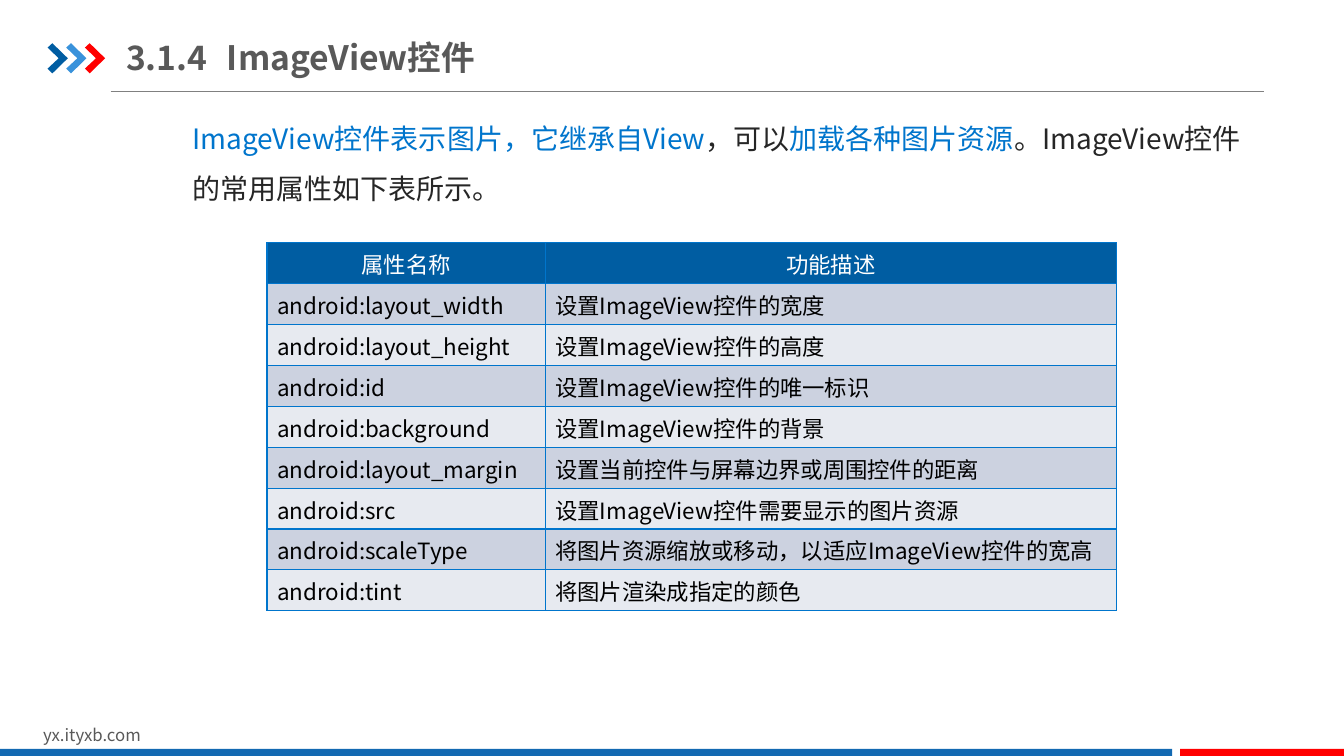
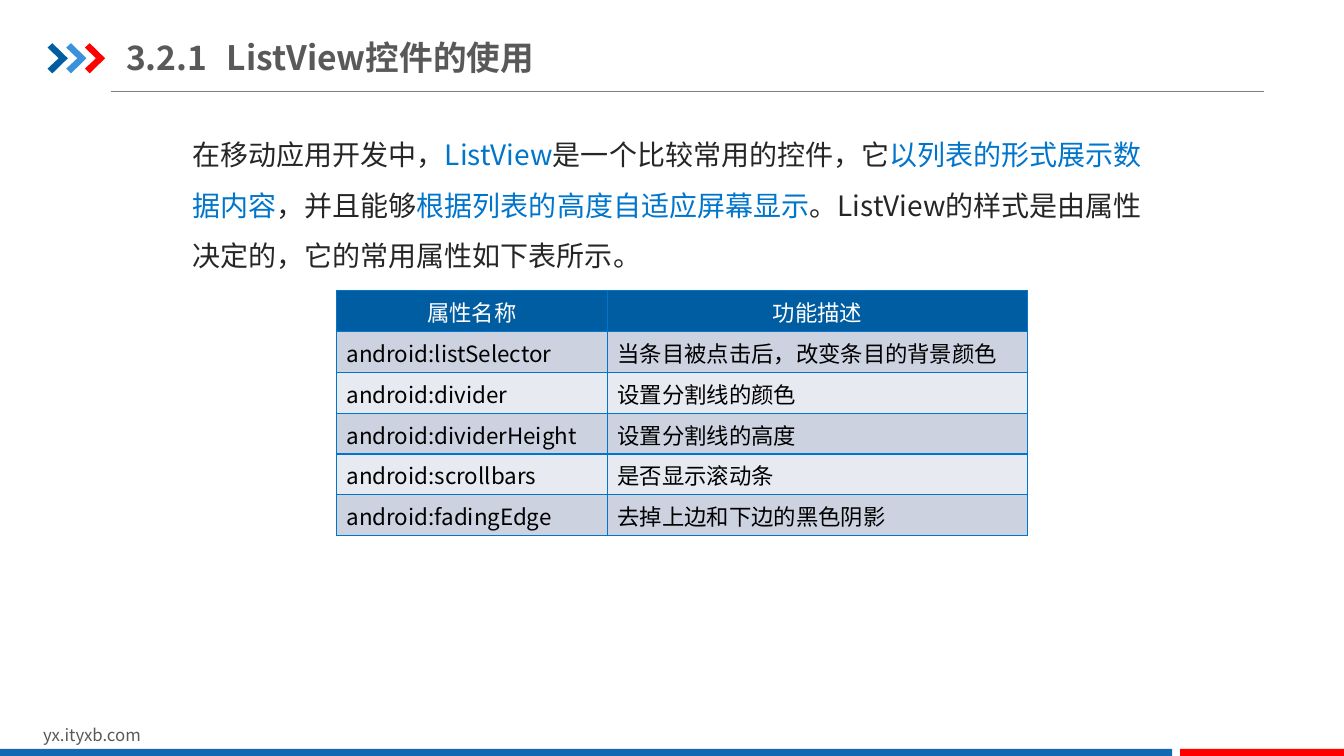
from dataclasses import dataclass

from lxml.etree import SubElement
from pptx import Presentation
from pptx.dml.color import RGBColor
from pptx.enum.shapes import MSO_CONNECTOR as Connector, MSO_SHAPE as Shape
from pptx.enum.text import MSO_ANCHOR as Anchor, PP_ALIGN as Align
from pptx.oxml.ns import qn
from pptx.util import Cm, Pt


@dataclass(frozen=True)
class Theme:
    font: str = "Noto Sans CJK SC"
    navy: str = "005DA2"
    sky: str = "3992DB"
    red: str = "FF0000"
    band: str = "1369B2"
    accent: str = "0075CC"
    grey: str = "595959"
    rule: str = "808080"
    ink: str = "262626"
    black: str = "000000"
    white: str = "FFFFFF"
    stripes: tuple = ("CCD2E0", "E7EAF0")
    title_size: int = 24
    body_size: int = 20
    table_size: int = 16
    footer_size: int = 12


T = Theme()
WIDTH, HEIGHT = 33.87, 19.05
ROW_HEIGHT = 1.03
HEADER = ("属性名称", "功能描述")
CHEVRON = ((0, 0.11), (0.12, 0), (0.51, 0.38), (0.12, 0.76), (0, 0.64), (0.28, 0.38))

IMAGE_VIEW = dict(
    title="3.1.4\tImageView控件",
    body_box=(3.33, 2.51, 28.8, 3),
    body=(
        (T.accent, "ImageView控件表示图片，它继承自View"),
        (T.ink, "，可以"),
        (T.accent, "加载各种图片资源"),
        (T.ink, "。ImageView控件的常用属性如下表所示。"),
    ),
    table_at=(6.73, 6.12),
    columns=(7.01, 14.4),
    rows=(
        ("android:layout_width", "设置ImageView控件的宽度"),
        ("android:layout_height", "设置ImageView控件的高度"),
        ("android:id", "设置ImageView控件的唯一标识"),
        ("android:background", "设置ImageView控件的背景"),
        ("android:layout_margin", "设置当前控件与屏幕边界或周围控件的距离"),
        ("android:src", "设置ImageView控件需要显示的图片资源"),
        ("android:scaleType", "将图片资源缩放或移动，以适应ImageView控件的宽高"),
        ("android:tint", "将图片渲染成指定的颜色"),
    ),
)

LIST_VIEW = dict(
    title="3.2.1\tListView控件的使用",
    body_box=(3.33, 2.92, 26.39, 4.39),
    body=(
        (T.ink, "在移动应用开发中，"),
        (T.accent, "ListView"),
        (T.ink, "是一个比较常用的控件，它"),
        (T.accent, "以列表的形式展示数据内容"),
        (T.ink, "，并且能够"),
        (T.accent, "根据列表的高度自适应屏幕显示"),
        (T.ink, "。ListView的样式是由属性决定的，它的常用属性如下表所示。"),
    ),
    table_at=(8.48, 7.32),
    columns=(6.83, 10.59),
    rows=(
        ("android:listSelector", "当条目被点击后，改变条目的背景颜色"),
        ("android:divider", "设置分割线的颜色"),
        ("android:dividerHeight", "设置分割线的高度"),
        ("android:scrollbars", "是否显示滚动条"),
        ("android:fadingEdge", "去掉上边和下边的黑色阴影"),
    ),
)


def rgb(color):
    return RGBColor.from_string(color)


def cms(*lengths):
    return [Cm(length) for length in lengths]


def style(p, size, color=None, bold=False):
    font = p.font
    font.size, font.bold, font.name = Pt(size), bold, T.font
    if color:
        font.color.rgb = rgb(color)
    SubElement(font._rPr, qn("a:ea"), typeface=T.font)


def paint(sp, color):
    sp.shadow.inherit = False
    sp.fill.solid()
    sp.fill.fore_color.rgb = rgb(color)
    sp.line.fill.background()


def add_text(s, box):
    tf = s.shapes.add_textbox(*cms(*box)).text_frame
    tf.word_wrap = True
    return tf


def add_chevrons(s, left, top, step):
    for i, color in enumerate((T.navy, T.sky, T.red)):
        points = [cms(left + i * step + x, top + y) for x, y in CHEVRON]
        builder = s.shapes.build_freeform(*points[0])
        builder.add_line_segments(points[1:], close=True)
        paint(builder.convert_to_shape(), color)


def add_title(s, text, box):
    left, top, width, height = box
    line = s.shapes.add_connector(Connector.STRAIGHT, *cms(2.79, 2.31, 31.85, 2.31))
    line.line.color.rgb = rgb(T.rule)
    line.line.width = Pt(0.75)
    SubElement(line._element.spPr, qn("a:effectLst"))
    add_chevrons(s, left - 1.98, top + 0.35, 0.47)
    tf = add_text(s, (left, top, width, height))
    tf.margin_left = tf.margin_right = 0
    tf.vertical_anchor = Anchor.MIDDLE
    p = tf.paragraphs[0]
    p.text = text
    style(p, T.title_size, T.grey, bold=True)


def add_footer(s, top):
    p = add_text(s, (0.84, top - 0.73, 8.08, 0.76)).paragraphs[0]
    p.text = "yx.ityxb.com"
    style(p, T.footer_size, T.grey)
    red_left = 29.74
    for left, right, color in ((0, red_left - 0.2, T.band), (red_left, WIDTH, T.red)):
        box = cms(left, top, right - left, HEIGHT - top)
        paint(s.shapes.add_shape(Shape.RECTANGLE, *box), color)


def add_body(s, parts, box):
    p = add_text(s, box).paragraphs[0]
    p._p.get_or_add_pPr().set("marL", str(Cm(1.27)))
    p.line_spacing = 1.5
    style(p, T.body_size)
    for color, text in parts:
        r = p.add_run()
        r.text = text
        r.font.color.rgb = rgb(color)


def add_borders(cell):
    tcPr = cell._tc.get_or_add_tcPr()
    for i, side in enumerate(("lnL", "lnR", "lnT", "lnB")):
        ln = tcPr.makeelement(qn(f"a:{side}"), {"w": str(Pt(1))})
        fill = SubElement(ln, qn("a:solidFill"))
        SubElement(fill, qn("a:srgbClr"), val=T.accent)
        tcPr.insert(i, ln)


def fill_cell(cell, text, fill, color, align):
    cell.fill.solid()
    cell.fill.fore_color.rgb = rgb(fill)
    cell.vertical_anchor = Anchor.MIDDLE
    p = cell.text_frame.paragraphs[0]
    p.text = text
    p.alignment = align
    style(p, T.table_size, color)
    add_borders(cell)


def add_attributes(s, rows, at, columns):
    rows = (HEADER, *rows)
    size = sum(columns), ROW_HEIGHT * len(rows)
    table = s.shapes.add_table(len(rows), len(columns), *cms(*at, *size)).table
    table.horz_banding = False
    for column, width in zip(table.columns, columns):
        column.width = Cm(width)
    for i, row in enumerate(rows):
        table.rows[i].height = Cm(ROW_HEIGHT)
        if i == 0:
            look = T.navy, T.white, Align.CENTER
        else:
            look = T.stripes[(i - 1) % 2], T.black, Align.LEFT
        for j, text in enumerate(row):
            fill_cell(table.cell(i, j), text, *look)


def add_control_slide(prs, title, body_box, body, table_at, columns, rows):
    s = prs.slides.add_slide(prs.slide_layouts[6])
    add_title(s, title, (3.18, 0.74, 10.82, 1.4))
    add_footer(s, 18.87)
    add_body(s, body, body_box)
    add_attributes(s, rows, table_at, columns)


def main():
    prs = Presentation()
    prs.slide_width, prs.slide_height = cms(WIDTH, HEIGHT)
    for control in (IMAGE_VIEW, LIST_VIEW):
        add_control_slide(prs, **control)
    prs.save("out.pptx")


if __name__ == "__main__":
    main()
